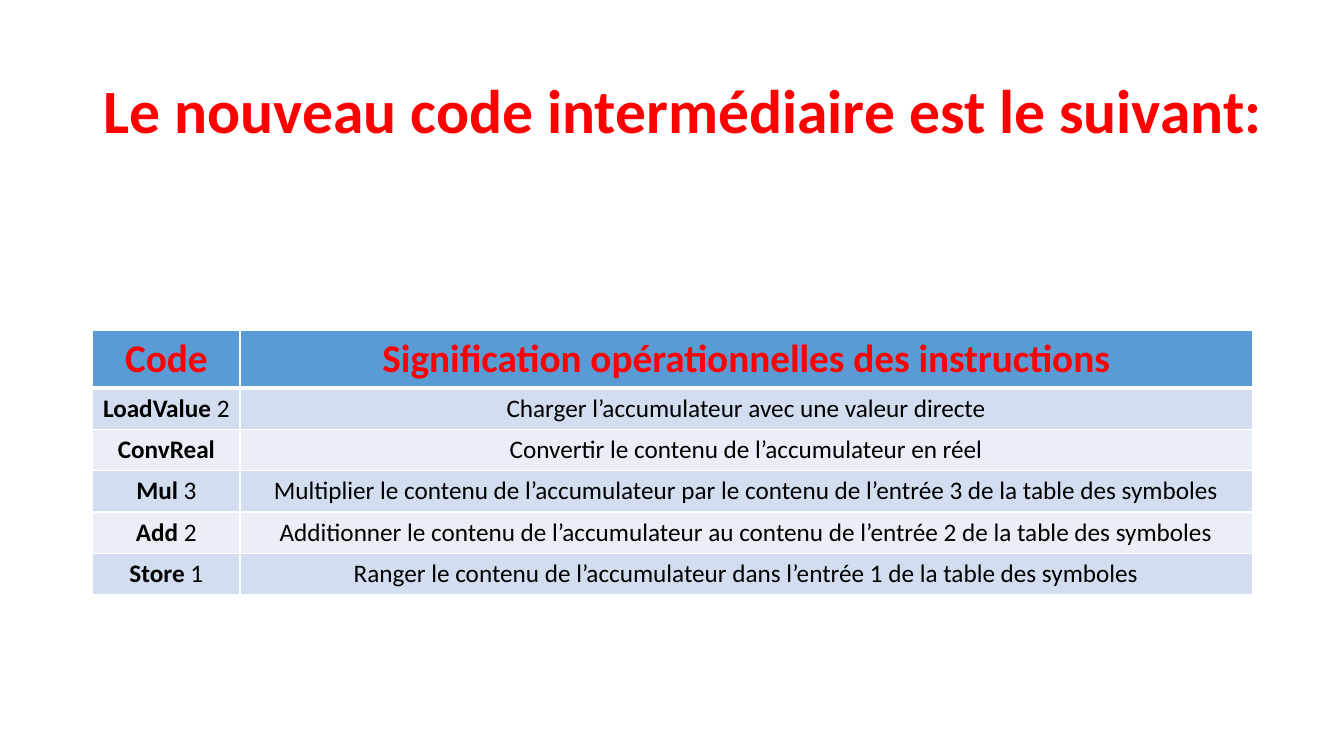
from dataclasses import dataclass

import pptx
import pptx.dml.color
import pptx.enum.text
import pptx.oxml
import pptx.oxml.ns
import pptx.util
from pptx.util import Inches

FONT = "Calibri"
COLORS = {
    "red": "FF0000",
    "black": "000000",
    "white": "FFFFFF",
    "header": "5B9BD5",
    "odd": "D2DEEF",
    "even": "EAEFF7",
}
COLUMN_WIDTHS = (1.46, 10.04)
HEADER_HEIGHT, ROW_HEIGHT = 0.57, 0.41


@dataclass
class Span:
    text: str
    bold: bool = False


@dataclass
class Instruction:
    name: str
    operand: str
    meaning: str

    def code(self) -> list[Span]:
        if not self.operand:
            return [Span(self.name, True)]
        return [Span(f"{self.name} ", True), Span(self.operand)]


HEADINGS = ("Code", "Signification opérationnelles des instructions")
INSTRUCTIONS = (
    Instruction("LoadValue", "2", "Charger l’accumulateur avec une valeur directe"),
    Instruction("ConvReal", "", "Convertir le contenu de l’accumulateur en réel"),
    Instruction("Mul", "3", "Multiplier le contenu de l’accumulateur par le contenu "
                "de l’entrée 3 de la table des symboles"),
    Instruction("Add", "2", "Additionner le contenu de l’accumulateur au contenu "
                "de l’entrée 2 de la table des symboles"),
    Instruction("Store", "1", "Ranger le contenu de l’accumulateur dans l’entrée 1 "
                "de la table des symboles"),
)


def rgb(color: str) -> pptx.dml.color.RGBColor:
    return pptx.dml.color.RGBColor.from_string(COLORS[color])


def write(para, spans: list[Span], size: int, color: str) -> None:
    """Fill a centred paragraph with spans of one size and colour."""
    para.alignment = pptx.enum.text.PP_ALIGN.CENTER
    para.font.name = FONT
    para.font.size = pptx.util.Pt(size)
    para.font.color.rgb = rgb(color)
    for span in spans:
        run = para.add_run()
        run.text = span.text
        run.font.bold = span.bold


def add_borders(cell, bottom: int) -> None:
    """Draw white borders, one point wide except for the bottom one."""
    namespace = pptx.oxml.ns.nsdecls("a")
    for side, points in (("L", 1), ("R", 1), ("T", 1), ("B", bottom)):
        cell._tc.get_or_add_tcPr().append(pptx.oxml.parse_xml(
            f'<a:ln{side} {namespace} w="{pptx.util.Pt(points)}"><a:solidFill>'
            f'<a:srgbClr val="{COLORS["white"]}"/></a:solidFill></a:ln{side}>'))


def fill_row(row, contents: list[list[Span]], size: int, color: str,
             fill: str, bottom: int = 1) -> None:
    for cell, spans in zip(row.cells, contents):
        add_borders(cell, bottom)
        cell.fill.solid()
        cell.fill.fore_color.rgb = rgb(fill)
        write(cell.text_frame.paragraphs[0], spans, size, color)


def add_title(page) -> None:
    box = page.shapes.add_textbox(Inches(0.92), Inches(0.4), Inches(11.72), Inches(1.45))
    frame = box.text_frame
    frame.word_wrap = True
    frame.vertical_anchor = pptx.enum.text.MSO_ANCHOR.MIDDLE
    para = frame.paragraphs[0]
    para.line_spacing = 0.9
    write(para, [Span("Le nouveau code intermédiaire est le suivant:", True)], 44, "red")


def add_instruction_table(page) -> None:
    height = HEADER_HEIGHT + ROW_HEIGHT * len(INSTRUCTIONS)
    table = page.shapes.add_table(
        len(INSTRUCTIONS) + 1, len(COLUMN_WIDTHS), Inches(0.92), Inches(3.28),
        Inches(sum(COLUMN_WIDTHS)), Inches(height)).table
    for column, width in zip(table.columns, COLUMN_WIDTHS):
        column.width = Inches(width)
    header, *body = table.rows
    header.height = Inches(HEADER_HEIGHT)
    fill_row(header, [[Span(text, True)] for text in HEADINGS], 28, "red", "header", bottom=3)
    for index, (row, instruction) in enumerate(zip(body, INSTRUCTIONS)):
        row.height = Inches(ROW_HEIGHT)
        fill_row(row, [instruction.code(), [Span(instruction.meaning)]], 18, "black",
                 "even" if index % 2 else "odd")


def main() -> None:
    deck = pptx.Presentation()
    deck.slide_width, deck.slide_height = Inches(13.33), Inches(7.5)
    page = deck.slides.add_slide(deck.slide_layouts[6])
    add_title(page)
    add_instruction_table(page)
    deck.save("out.pptx")


if __name__ == "__main__":
    main()
